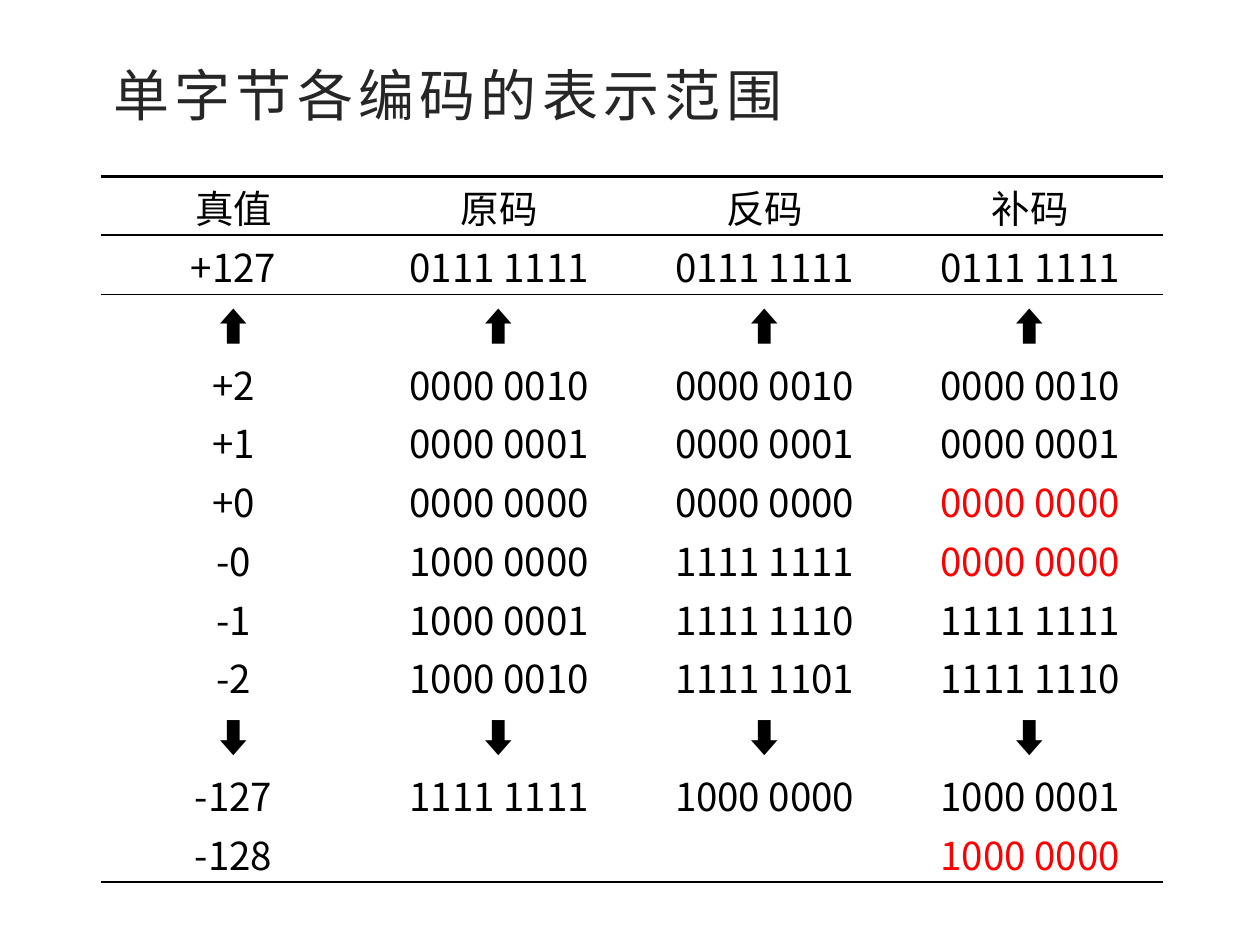
from lxml.etree import SubElement as Sub
from pptx import Presentation
from pptx.dml.color import RGBColor as Rgb
from pptx.enum.text import MSO_ANCHOR as Anchor, PP_ALIGN as Align
from pptx.oxml.ns import qn
from pptx.util import Inches, Pt

# Content
TITLE = "单字节各编码的表示范围"
ROWS = [
    ("真值", "原码", "反码", "补码"),
    ("+127", "0111 1111", "0111 1111", "0111 1111"),
    ("⬆",) * 4,
    ("+2", "0000 0010", "0000 0010", "0000 0010"),
    ("+1", "0000 0001", "0000 0001", "0000 0001"),
    ("+0", "0000 0000", "0000 0000", "0000 0000"),
    ("-0", "1000 0000", "1111 1111", "0000 0000"),
    ("-1", "1000 0001", "1111 1110", "1111 1111"),
    ("-2", "1000 0010", "1111 1101", "1111 1110"),
    ("⬇",) * 4,
    ("-127", "1111 1111", "1000 0000", "1000 0001"),
    ("-128", "", "", "1000 0000"),
]
MARKED = {(5, 3), (6, 3), (11, 3)}
LAST = len(ROWS) - 1
# Rule widths in points, by row and side
RULES = {(0, "T"): 1.5, (0, "B"): 1, (1, "T"): 1, (1, "B"): 0.5,
         (2, "T"): 0.5, (LAST, "B"): 1.5}

FONT = "Noto Sans CJK SC"
COLORS = {"title": "262626", "text": "000000", "mark": "FF0000"}
LEFT, TOP, WIDTH, HEIGHT = 0.8, 1.4, 8.43, 5.6


def style(font, size, color):
    font.name, font.size = FONT, Pt(size)
    font.color.rgb = Rgb.from_string(COLORS[color])


def set_ea(run):
    Sub(run.font._element, qn("a:ea"), typeface=FONT)


def rule(cell, side, width):
    props = cell._tc.get_or_add_tcPr()
    line = Sub(props, qn(f"a:ln{side}"), w=str(Pt(width)))
    if width:
        fill = Sub(line, qn("a:solidFill"))
        Sub(fill, qn("a:srgbClr"), val=COLORS["text"])
    else:
        Sub(line, qn("a:noFill"))


prs = Presentation()
prs.slide_width, prs.slide_height = Inches(10), Inches(7.5)
slide = prs.slides.add_slide(prs.slide_layouts[6])

# Title
box = slide.shapes.add_textbox(Inches(LEFT), Inches(0.43), Inches(8.58), Inches(0.64))
frame = box.text_frame
frame.word_wrap = True
frame.margin_top = frame.margin_bottom = 0
frame.vertical_anchor = Anchor.MIDDLE
frame.text = TITLE
run = frame.paragraphs[0].runs[0]
style(run.font, 32, "title")
set_ea(run)
run.font._element.set("spc", "300")

# Table
table = slide.shapes.add_table(
    len(ROWS), len(ROWS[0]), Inches(LEFT), Inches(TOP), Inches(WIDTH), Inches(HEIGHT)
).table
table.first_row = table.horz_banding = False
for r, row in enumerate(ROWS):
    table.rows[r].height = Inches(HEIGHT / len(ROWS))
    for c, text in enumerate(row):
        cell = table.cell(r, c)
        cell.margin_top, cell.margin_bottom = Inches(0.02), 0
        cell.vertical_anchor = Anchor.MIDDLE
        for side in "LRTB":
            rule(cell, side, RULES.get((r, side), 0))
        cell.fill.background()
        cell.text = text
        para = cell.text_frame.paragraphs[0]
        para.alignment = Align.CENTER
        color = "mark" if (r, c) in MARKED else "text"
        style(para.font, 22, color)
        for run in para.runs:
            style(run.font, 22, color)
            set_ea(run)

prs.save("out.pptx")
